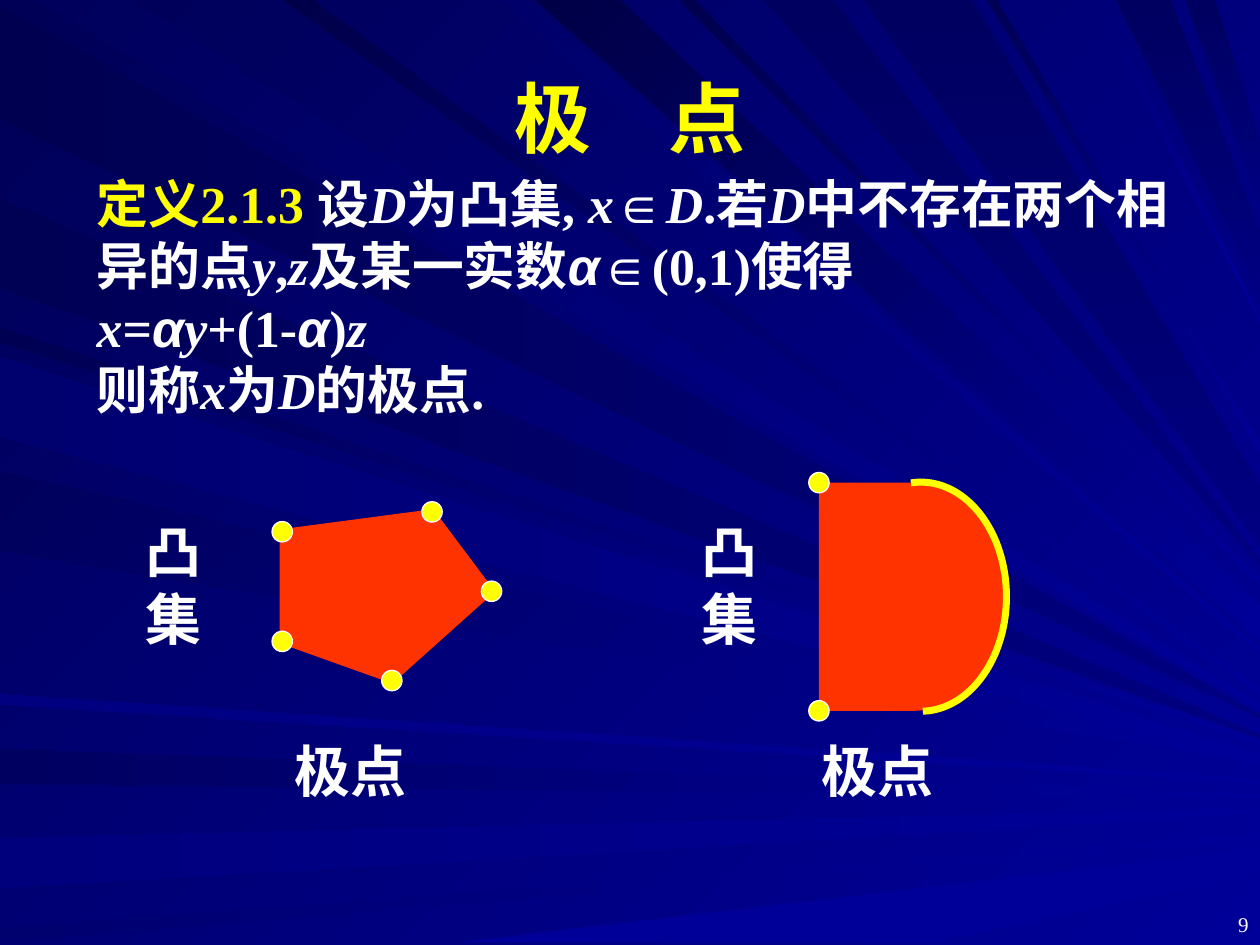
import pptx
import pptx.dml.color
import pptx.enum.shapes
import pptx.enum.text
import pptx.util

Cm = pptx.util.Cm
Pt = pptx.util.Pt
Shape = pptx.enum.shapes.MSO_SHAPE
Align = pptx.enum.text.PP_ALIGN
Anchor = pptx.enum.text.MSO_ANCHOR

YELLOW, WHITE, RED = "FFFF00", "FFFFFF", "FF3300"
BLUE, NAVY = "000099", "000080"
SERIF, SANS = "Times New Roman", "Arial"


def paint(fill, first, last=None, angle=0):
    """Fill solid, or with a gradient from first to last at a counter-clockwise angle."""
    if last is None:
        fill.solid()
        fill.fore_color.rgb = pptx.dml.color.RGBColor.from_string(first)
        return
    fill.gradient()
    fill.gradient_angle = angle
    for stop, colour in zip(fill.gradient_stops, (first, last)):
        stop.color.rgb = pptx.dml.color.RGBColor.from_string(colour)


def add_text(box, runs, size, bold=True, align=Align.LEFT, anchor=Anchor.TOP):
    """Add a one-paragraph text box; runs hold text, font, italic and colour."""
    frame = slide.shapes.add_textbox(*map(Cm, box)).text_frame
    frame.word_wrap = True
    frame.vertical_anchor = anchor
    paragraph = frame.paragraphs[0]
    paragraph.alignment = align
    for text, font_name, italic, colour in runs:
        if text == "\n":
            paragraph.add_line_break()
            continue
        run = paragraph.add_run()
        run.text = text
        run.font.name = font_name
        run.font.size = Pt(size)
        run.font.bold = bold
        run.font.italic = italic
        paint(run.font.fill, colour)


presentation = pptx.Presentation()
presentation.slide_width = Cm(25.4)
presentation.slide_height = Cm(19.05)
slide = presentation.slides.add_slide(presentation.slide_layouts[6])
paint(slide.background.fill, BLUE, "000057", 135)

# Rays run from one edge to the right side; lengths are in millimetres.
# Group: edge, first colour, angle, spread at the right side
# Ray: last colour, two places on the edge, height reached on the right side
ray_groups = [
    ("left", NAVY, 180, 1, [("000051", 24, 1, 144), ("000055", 58, 40, 148)]),
    ("top", BLUE, 135, 1, [("00005C", 7, 26, 142), ("00004A", 57, 63, 139),
                           ("00006A", 101, 106, 131), ("00004E", 137, 140, 117),
                           ("000057", 199, 201, 90), ("000078", 220, 222, 64)]),
    ("top", BLUE, 135, 7, [("000046", 108, 125, 122)]),
    ("top", "000060", 270, 1, [(NAVY, 154, 168, 113)]),
    ("top", "000060", 270, 12, [(NAVY, 174, 196, 98), (NAVY, 225, 236, 47),
                                (NAVY, 239, 245, 29)]),
    ("left", BLUE, 135, 1, [("000053", 69, 66, 149), ("000060", 87, 71, 152),
                            ("00005C", 111, 95, 153)]),
    ("left", BLUE, 180, 1, [("000081", 142, 140, 157), ("000060", 158, 151, 160),
                            ("00007C", 179, 169, 163), ("00006E", 190, 187, 168),
                            ("00006E", 88, 72, 153)]),
    ("bottom", BLUE, 180, 5, [(None, 188, 92, 171)]),
]
ray_shapes = slide.shapes.add_group_shape().shapes
for edge, first, angle, spread, rays in ray_groups:
    for last, start, stop, end in rays:
        if edge == "left":
            corners = [(0, start), (0, stop)]
        else:
            level = 0 if edge == "top" else 190
            corners = [(start, level), (stop, level)]
        builder = ray_shapes.build_freeform(*corners[0], scale=Cm(0.1))
        builder.add_line_segments([corners[1], (254, end), (254, end + spread)])
        ray = builder.convert_to_shape()
        ray.shadow.inherit = False
        ray.line.fill.background()
        paint(ray.fill, first, last, angle)

# Title and definition
add_text((1.27, 0.76, 22.86, 3.18), [("极　点", SERIF, False, YELLOW)], 44,
         align=Align.CENTER, anchor=Anchor.MIDDLE)

definition = [("定义2.1.3 ", SERIF, False, YELLOW)]
for text in ["设", "D", "为凸集, ", "x", "∈", "D", ".若", "D", "中不存在两个相异的点",
             "y", ",", "z", "及某一实数", "α", "∈(0,1)使得", "\n",
             "x", "=", "α", "y", "+(1-", "α", ")", "z", "\n",
             "则称", "x", "为", "D", "的极点."]:
    font_name = SANS if text == "α" else SERIF
    definition.append((text, font_name, text in "Dxyzα", WHITE))
add_text((1.7, 3.33, 22.61, 6.27), definition, 29.6)

# Pentagon, corners in centimetres
pentagon_corners = [(5.69, 10.72), (5.69, 12.93), (7.9, 13.72), (9.91, 11.92), (8.71, 10.32)]
points = [(round(x * 100), round(y * 100)) for x, y in pentagon_corners]
builder = slide.shapes.build_freeform(*points[0], scale=Cm(0.01))
builder.add_line_segments(points[1:])
pentagon = builder.convert_to_shape()
pentagon.shadow.inherit = False
paint(pentagon.fill, RED)
paint(pentagon.line.fill, RED)
pentagon.line.width = Pt(3)

# Half-round set with its curved edge
half_round = slide.shapes.add_shape(Shape.FLOWCHART_DELAY, Cm(16.51), Cm(9.73), Cm(3.81), Cm(4.6))
half_round.shadow.inherit = False
paint(half_round.fill, RED)
half_round.line.fill.background()

curved_edge = slide.shapes.add_shape(Shape.ARC, Cm(16.84), Cm(9.72), Cm(3.45), Cm(4.62))
curved_edge.shadow.inherit = False
for index, degrees in enumerate((265, 89)):
    curved_edge.adjustments[index] = degrees * 0.6  # 60000 steps a degree, in 100000ths
curved_edge.fill.background()
paint(curved_edge.line.fill, YELLOW)
curved_edge.line.width = Pt(4)

# Extreme points
dot_size = 0.41
for x, y in pentagon_corners + [(16.51, 9.73), (16.51, 14.33)]:
    dot = slide.shapes.add_shape(Shape.OVAL, Cm(x - dot_size / 2), Cm(y - dot_size / 2),
                                 Cm(dot_size), Cm(dot_size))
    dot.shadow.inherit = False
    paint(dot.fill, YELLOW)
    paint(dot.line.fill, WHITE)
    dot.line.width = Pt(0.75)

# Labels and page number
for set_left, point_left in [(2.69, 5.69), (13.89, 16.31)]:
    add_text((set_left, 10.31, 1.6, 2.97), [("凸集", SANS, False, WHITE)], 32)
    add_text((point_left, 14.73, 3.4, 1.63), [("极点", SANS, False, WHITE)], 32)
add_text((24.1, 17.73, 1.32, 1.27), [("9", SERIF, False, WHITE)], 12, bold=False,
         align=Align.RIGHT, anchor=Anchor.BOTTOM)

presentation.save("out.pptx")
